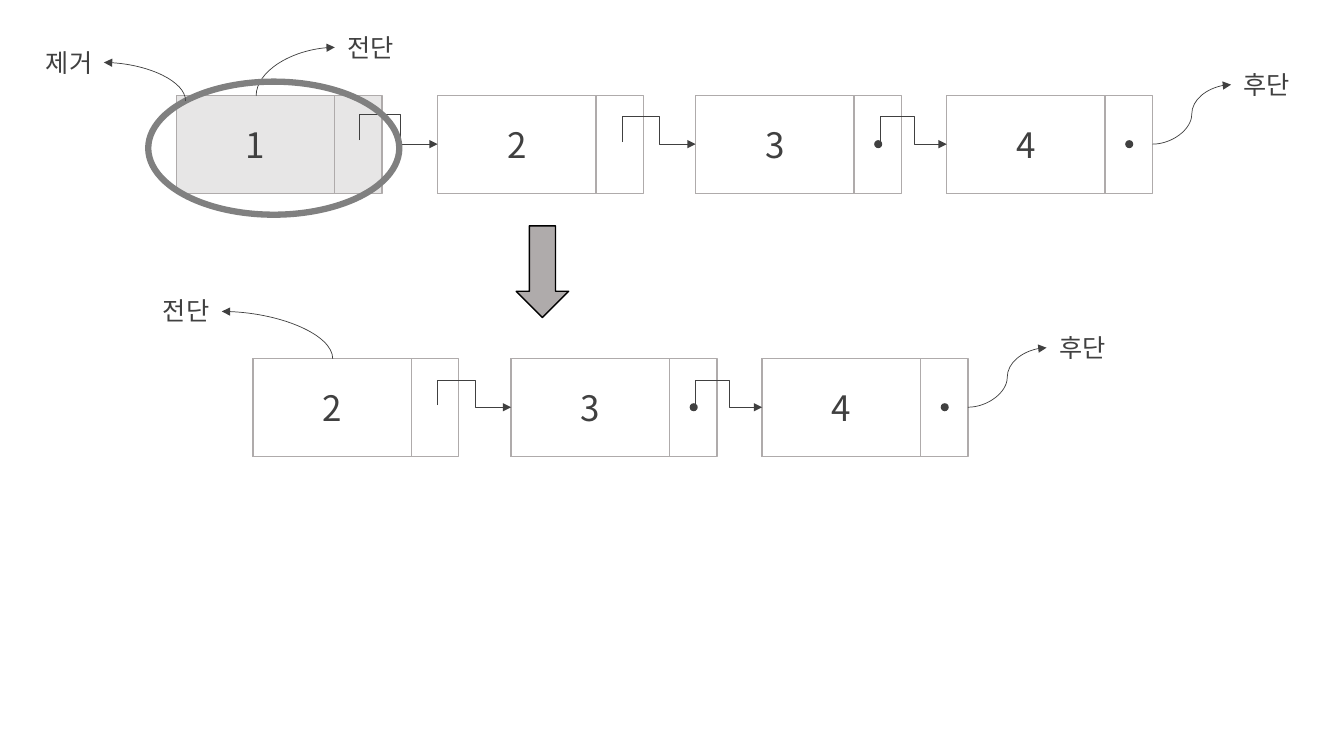
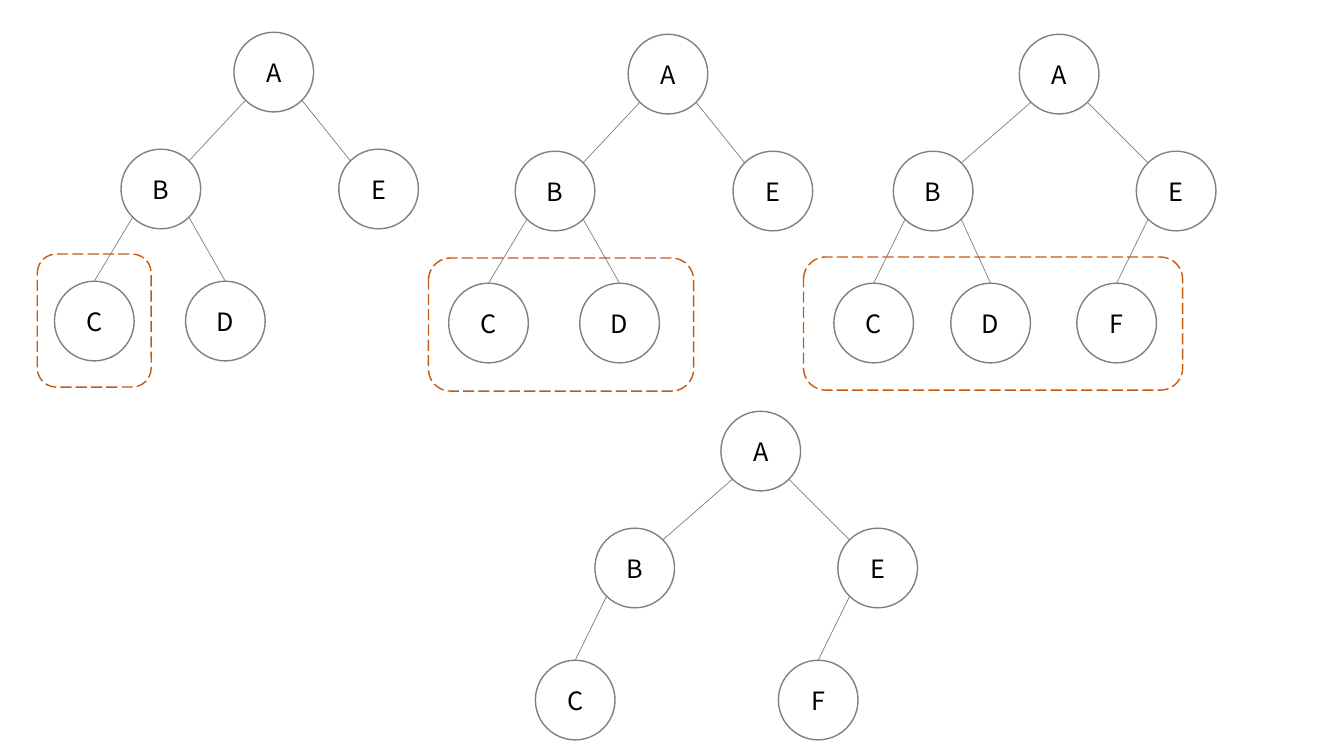
from lxml.etree import SubElement
from pptx import Presentation
from pptx.dml.color import RGBColor
from pptx.enum.dml import MSO_LINE
from pptx.enum.shapes import MSO_CONNECTOR as LINK, MSO_SHAPE as SHAPE
from pptx.enum.text import MSO_AUTO_SIZE as AUTO, PP_ALIGN
from pptx.oxml.ns import qn
from pptx.util import Inches, Pt

FONT = "Noto Sans CJK KR"
WHITE, BLACK, INK = "FFFFFF", "000000", "404040"
PALE, SILVER, GREY, RUST = "E7E6E6", "AFABAB", "808080", "C55A11"

CELL_W, DATA_W, CELL_H = 2.04, 1.57, 0.97
DOT = 0.08
LINK_RISE = 0.25

CIRCLE = 0.79
NEAR, FAR = CIRCLE * 0.15, CIRCLE * 0.85
LEVELS = {"A": 0, "B": 1.16, "E": 1.16, "C": 2.47, "D": 2.47, "F": 2.47}
PARENTS = {"B": "A", "E": "A", "C": "B", "D": "B", "F": "E"}
NARROW = {"A": 0, "B": -1.12, "C": -1.78, "D": -0.48, "E": 1.04}
WIDE = {"A": 0, "B": -1.25, "C": -1.84, "D": -0.68, "E": 1.16, "F": 0.57}
PRUNED = {name: WIDE[name] for name in "ABCEF"}


def color(code):
    return RGBColor.from_string(code)


class Deck:
    """Holds the drawing style and the current slide."""

    def __init__(self):
        self.deck = Presentation()
        self.deck.slide_width, self.deck.slide_height = Inches(13.33), Inches(7.5)
        self.slide = None

    def new_slide(self):
        self.slide = self.deck.slides.add_slide(self.deck.slide_layouts[6])

    def set_text(self, frame, text, size, ink):
        line = frame.paragraphs[0]
        line.text = text
        line.alignment = PP_ALIGN.CENTER
        line.font.size = Pt(size)
        line.font.color.rgb = color(ink)
        line.font.name = FONT
        defaults = line._p.pPr.find(qn("a:defRPr"))
        SubElement(defaults, qn("a:ea")).set("typeface", FONT)

    def shape(self, kind, box, fill=None, line=None, width=1, dash=None, group=None):
        owner = group or self.slide
        figure = owner.shapes.add_shape(kind, *map(Inches, box))
        figure.shadow.inherit = False
        if fill:
            figure.fill.solid()
            figure.fill.fore_color.rgb = color(fill)
        else:
            figure.fill.background()
        if line:
            figure.line.color.rgb = color(line)
            figure.line.width = Pt(width)
            figure.line.dash_style = dash
        else:
            figure.line.fill.background()
        return figure

    def label(self, text, x, y):
        frame = self.slide.shapes.add_textbox(*map(Inches, (x, y, 0.71, 0.4))).text_frame
        frame.word_wrap = False
        frame.auto_size = AUTO.SHAPE_TO_FIT_TEXT
        self.set_text(frame, text, 18, INK)

    def line(self, start, end, ink=GREY, kind=LINK.STRAIGHT, arrow=False):
        link = self.slide.shapes.add_connector(kind, *map(Inches, (*start, *end)))
        link.line.color.rgb = color(ink)
        link.line.width = Pt(0.5)
        if arrow:
            outline = link.element.spPr.find(qn("a:ln"))
            SubElement(outline, qn("a:tailEnd")).set("type", "triangle")
        SubElement(link.element.spPr, qn("a:effectLst"))
        return link

    def turned_line(self, start, end, kind, preset, turn, flips, adjusts=()):
        link = self.line(start, end, INK, kind, True)
        (x1, y1), (x2, y2) = start, end
        width, height = abs(y2 - y1), abs(x2 - x1)
        link.left, link.top = Inches((x1 + x2 - width) / 2), Inches((y1 + y2 - height) / 2)
        link.width, link.height = Inches(width), Inches(height)
        frame = link.element.spPr.find(qn("a:xfrm"))
        frame.set("rot", str(turn * 60000))
        frame.set("flipH", str(int("h" in flips)))
        frame.set("flipV", str(int("v" in flips)))
        outline = link.element.spPr.find(qn("a:prstGeom"))
        outline.set("prst", preset)
        for number, value in enumerate(adjusts, 1):
            guide = SubElement(outline.find(qn("a:avLst")), qn("a:gd"))
            guide.set("name", f"adj{number}")
            guide.set("fmla", f"val {round(value * 100000)}")

    def step_arrow(self, start, end, middle):
        rise = -LINK_RISE / (end[1] - start[1])
        self.turned_line(start, end, LINK.ELBOW, "bentConnector4", 270, "h", (rise, middle))

    def arc_arrow(self, start, end):
        turn, flips = (90, "hv") if end[0] > start[0] else (270, "v")
        self.turned_line(start, end, LINK.CURVE, "curvedConnector2", turn, flips)

    def cell(self, value, x, y, fill, dot):
        group = self.slide.shapes.add_group_shape()
        self.shape(SHAPE.RECTANGLE, (x, y, CELL_W, CELL_H), fill, SILVER, group=group)
        data = self.shape(SHAPE.RECTANGLE, (x, y, DATA_W, CELL_H), fill, SILVER, group=group)
        self.set_text(data.text_frame, value, 25, INK)
        self.shape(SHAPE.FLOWCHART_CONNECTOR, (x + 1.77, y + 0.44, DOT, DOT), dot, group=group)

    def linked_list(self, y, cells):
        for value, x, fill, dot in cells:
            self.cell(value, x, y, fill, dot)
        for (_, x, fill, _), (_, following, _, _) in zip(cells, cells[1:]):
            dx, dy, middle = (1.81, 0.44, 0.53) if fill == PALE else (1.83, 0.46, 0.51)
            self.step_arrow((x + dx, y + dy), (following, y + 0.48), middle)
        rear = cells[-1][1] + CELL_W
        self.line((rear, y + 0.48), (rear + 0.78, y - 0.11), INK, LINK.CURVE, True)
        self.label("후단", rear + 0.78, y - 0.31)

    def tree(self, x, y, offsets):
        spots = {name: (x + dx, y + LEVELS[name]) for name, dx in offsets.items()}
        for name, (left, top) in spots.items():
            node = self.shape(SHAPE.OVAL, (left, top, CIRCLE, CIRCLE), WHITE, GREY)
            self.set_text(node.text_frame, name, 18, BLACK)
            if name in PARENTS:
                parent_left, parent_top = spots[PARENTS[name]]
                on_left = left < parent_left
                start = (parent_left + (NEAR if on_left else FAR), parent_top + FAR)
                if PARENTS[name] == "A":
                    end = (left + (FAR if on_left else NEAR), top + NEAR)
                else:
                    end = (left + CIRCLE / 2, top)
                self.line(start, end)


def queue_slide(deck):
    deck.new_slide()
    kept = [("2", 4.34, WHITE, WHITE), ("3", 6.9, WHITE, INK), ("4", 9.39, WHITE, INK)]
    deck.linked_list(0.95, [("1", 1.75, PALE, PALE), *kept])
    deck.label("전단", 3.32, 0.27)
    deck.arc_arrow((2.54, 0.95), (3.32, 0.47))
    deck.shape(SHAPE.DOWN_ARROW, (5.12, 2.24, 0.52, 0.91), SILVER, BLACK)
    deck.label("제거", 0.33, 0.42)
    deck.shape(SHAPE.OVAL, (1.47, 0.81, 2.49, 1.32), line=GREY, width=4.5)
    deck.arc_arrow((1.84, 1), (1.03, 0.62))
    deck.linked_list(3.56, [(value, x - 1.83, fill, dot) for value, x, fill, dot in kept])
    deck.label("전단", 1.49, 2.88)
    deck.arc_arrow((3.3, 3.56), (2.2, 3.09))


def tree_slide(deck):
    deck.new_slide()
    for x, y, offsets in [(2.32, 0.32, NARROW), (6.23, 0.34, NARROW),
                          (10.11, 0.34, WIDE), (7.15, 4.08, PRUNED)]:
        deck.tree(x, y, offsets)
    for x, y, width in [(0.37, 2.52, 1.13), (4.25, 2.56, 2.63), (7.97, 2.55, 3.76)]:
        deck.shape(SHAPE.ROUNDED_RECTANGLE, (x, y, width, 1.32), line=RUST, dash=MSO_LINE.LONG_DASH)


def main():
    deck = Deck()
    queue_slide(deck)
    tree_slide(deck)
    deck.deck.save("out.pptx")


if __name__ == "__main__":
    main()
